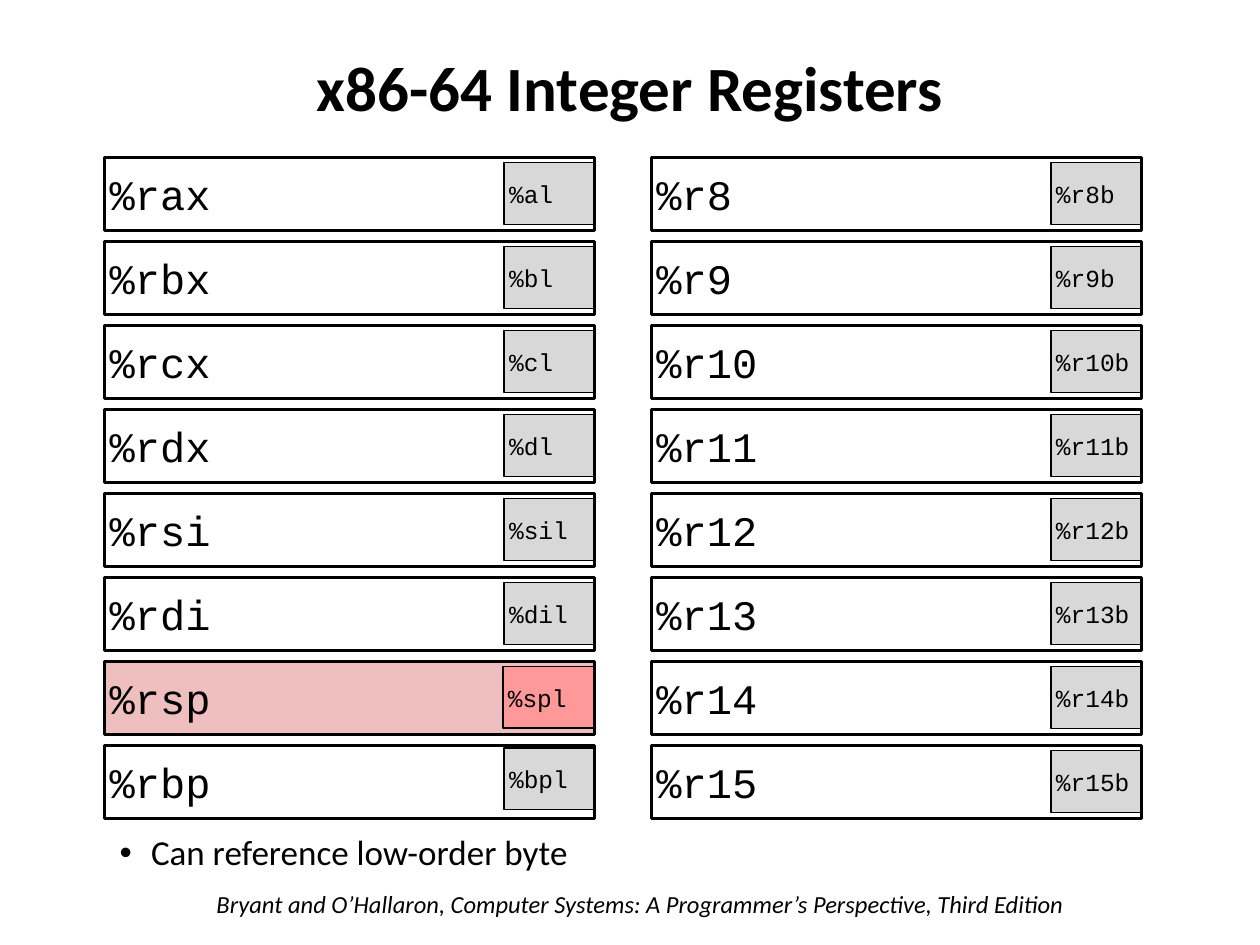
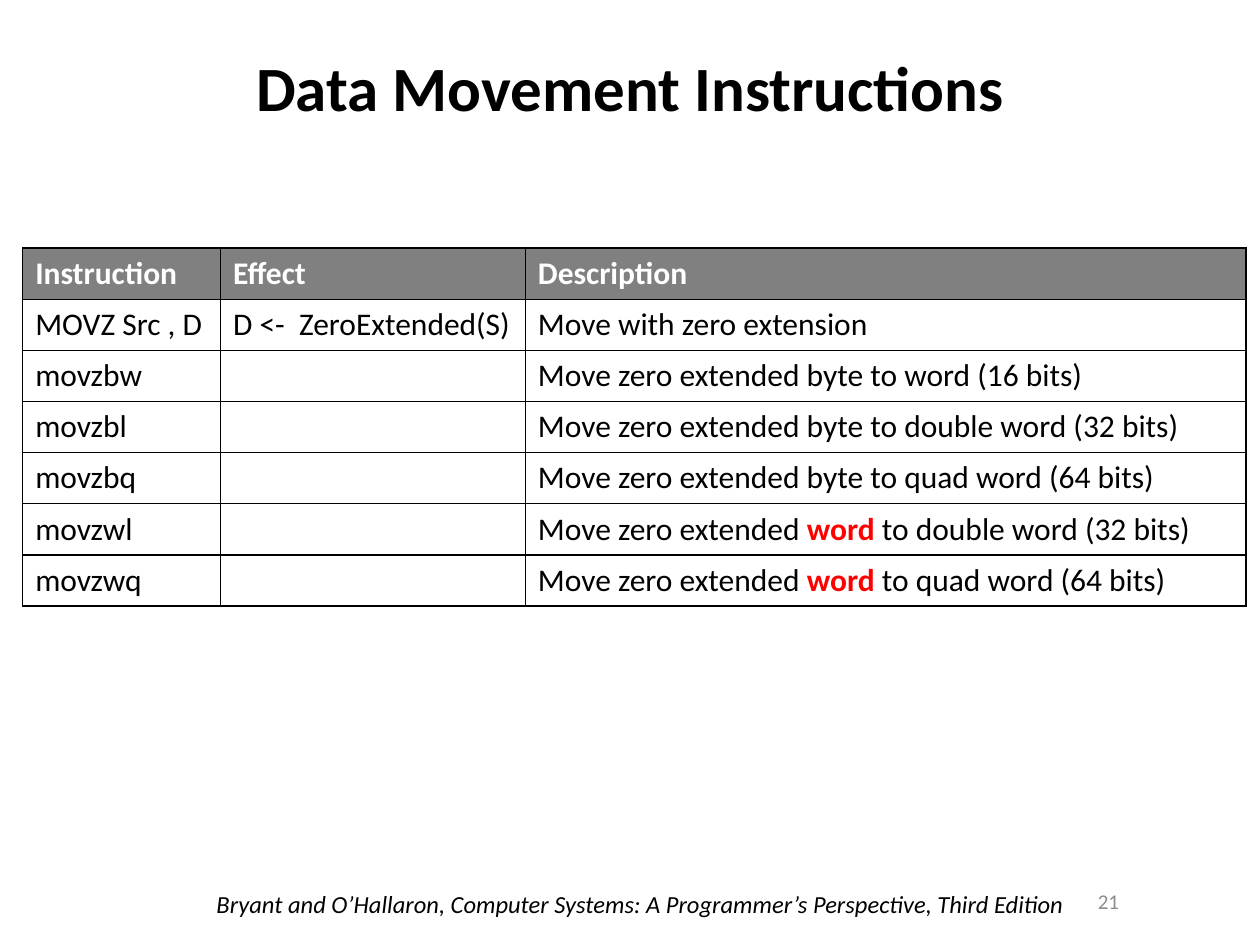
from lxml import etree
from pptx import Presentation
from pptx.dml.color import RGBColor
from pptx.enum import shapes, text
from pptx.oxml import ns
from pptx.util import Inches, Pt

BLACK, WHITE, RED = "000000", "FFFFFF", "FF0000"
GRAY, PALE, PINK, ROSE, DIM = "808080", "D8D8D8", "EFBFBF", "FF9999", "8C8C8C"
SANS, MONO = "Calibri", "Courier New"
CREDIT = ("Bryant and O’Hallaron, Computer Systems: "
          "A Programmer’s Perspective, Third Edition")


def rgb(code):
    return RGBColor.from_string(code)


def node(parent, tag, **attrs):
    return etree.SubElement(parent, ns.qn(tag), attrs)


class Deck:
    def __init__(self):
        self.prs = Presentation()
        self.prs.slide_width, self.prs.slide_height = Inches(10), Inches(7.5)
        self.slide = None

    def run(self, para, words, size, color=BLACK, font=SANS, bold=False, italic=False):
        run = para.add_run()
        run.text = words
        run.font.name, run.font.size = font, Pt(size)
        run.font.bold, run.font.italic = bold, italic
        run.font.color.rgb = rgb(color)

    def start(self, title):
        """Add a slide with its title and the shared credit line."""
        self.slide = self.prs.slides.add_slide(self.prs.slide_layouts[5])
        head = self.slide.shapes.title
        head.left, head.top, head.width, head.height = map(Inches, (0, 0, 10, 1.45))
        head.text_frame.vertical_anchor = text.MSO_ANCHOR.MIDDLE
        para = head.text_frame.paragraphs[0]
        para.alignment, para.line_spacing = text.PP_ALIGN.CENTER, 0.9
        self.run(para, title, 36, bold=True)
        self.label((1.62, 7.01, 7.1, 0.34), CREDIT, 14, italic=True)

    def label(self, at, words, size, **style):
        box = self.slide.shapes.add_textbox(*map(Inches, at))
        box.text_frame.word_wrap = True
        para = box.text_frame.paragraphs[0]
        self.run(para, words, size, **style)
        return box.text_frame, para

    def bullet(self, at, words, size):
        para = self.label(at, words, size)[1]
        para.line_spacing, para.space_before = 0.9, Pt(5)
        props = para._p.get_or_add_pPr()
        props.set("marL", str(Inches(0.75)))
        props.set("indent", str(Inches(-0.25)))
        node(props, "a:buFont", typeface="Arial")
        node(props, "a:buChar", char="•")

    def number(self, words):
        frame, para = self.label((8.57, 6.95, 0.41, 0.4), words, 12, color=DIM)
        frame.vertical_anchor = text.MSO_ANCHOR.MIDDLE
        para.alignment = text.PP_ALIGN.RIGHT

    def box(self, at, words, size, fill, line):
        box = self.slide.shapes.add_shape(shapes.MSO_SHAPE.RECTANGLE, *map(Inches, at))
        box.shadow.inherit = False
        if fill:
            box.fill.solid()
            box.fill.fore_color.rgb = rgb(fill)
        else:
            box.fill.background()
        box.line.color.rgb, box.line.width = rgb(BLACK), Pt(line)
        frame = box.text_frame
        frame.margin_left = frame.margin_right = Inches(0.04)
        frame.margin_top = frame.margin_bottom = Inches(0.04)
        frame.vertical_anchor = text.MSO_ANCHOR.MIDDLE
        para = frame.paragraphs[0]
        para.alignment = text.PP_ALIGN.LEFT
        self.run(para, words, size, font=MONO)

    def table(self, at, widths, rows):
        grid = self.slide.shapes.add_table(
            len(rows), len(widths), *map(Inches, at)).table
        grid.first_row = grid.horz_banding = False
        for col, width in zip(grid.columns, widths):
            col.width = Inches(width)
        for r, row in enumerate(rows):
            for c, parts in enumerate(row):
                self.cell(grid.cell(r, c), parts, r == 0)

    def cell(self, cell, parts, head):
        """Fill a cell; every second part of its text is stressed."""
        props = cell._tc.get_or_add_tcPr()
        for side in ("a:lnL", "a:lnR", "a:lnT", "a:lnB"):
            edge = node(props, side, w=str(Pt(1)))
            node(node(edge, "a:solidFill"), "a:srgbClr", val=BLACK)
        cell.fill.solid()
        cell.fill.fore_color.rgb = rgb(GRAY if head else WHITE)
        para = cell.text_frame.paragraphs[0]
        for i, part in enumerate(parts.split("*") if parts else []):
            stress = i % 2 == 1
            color = WHITE if head else RED if stress else BLACK
            self.run(para, part, 18, color, bold=head or stress)


def registers(deck):
    deck.start("x86-64 Integer Registers")
    deck.bullet((0.35, 6.58, 8.02, 0.92), "Can reference low-order byte", 20)
    # Register names with their low-order bytes, one list per column
    old = [("rax", "al"), ("rbx", "bl"), ("rcx", "cl"), ("rdx", "dl"),
           ("rsi", "sil"), ("rdi", "dil"), ("rsp", "spl"), ("rbp", "bpl")]
    new = [(f"r{n}", f"r{n}b") for n in range(8, 16)]
    shift = {"spl": (-0.01, 0), "bpl": (0, -0.02)}
    for left, names in ((0.83, old), (5.17, new)):
        for i, (reg, low) in enumerate(names):
            top = 1.25 + i * 2 / 3
            dx, dy = shift.get(low, (0, 0))
            stack = reg == "rsp"
            frame = ((left, top, 3.89, 0.58), "%" + reg, 24,
                     PINK if stack else None, 2)
            byte = ((left + 3.17 + dx, top + 0.04 + dy, 0.72, 0.49), "%" + low, 14,
                    ROSE if stack else PALE, 1 if stack else 0.75)
            # The filled frame goes below its byte, the open ones above
            for part in (frame, byte) if stack else (byte, frame):
                deck.box(*part)


def moves(deck):
    deck.start("Data Movement Instructions")
    rows = [("Instruction", "Effect", "Description"),
            ("MOVZ Src , D", "D <-  ZeroExtended(S)", "Move with zero extension")]
    kinds = [("bw", "byte", "word (16 bits)"),
             ("bl", "byte", "double word (32 bits)"),
             ("bq", "byte", "quad word (64 bits)"),
             ("wl", "*word*", "double word (32 bits)"),
             ("wq", "*word*", "quad word (64 bits)")]
    rows += [("movz" + end, "", f"Move zero extended {src} to {dest}")
             for end, src, dest in kinds]
    deck.table((0.18, 1.97, 9.71, 2.84), (1.57, 2.42, 5.72), rows)
    deck.number("21")


def main():
    deck = Deck()
    registers(deck)
    moves(deck)
    deck.prs.save("out.pptx")


if __name__ == "__main__":
    main()
